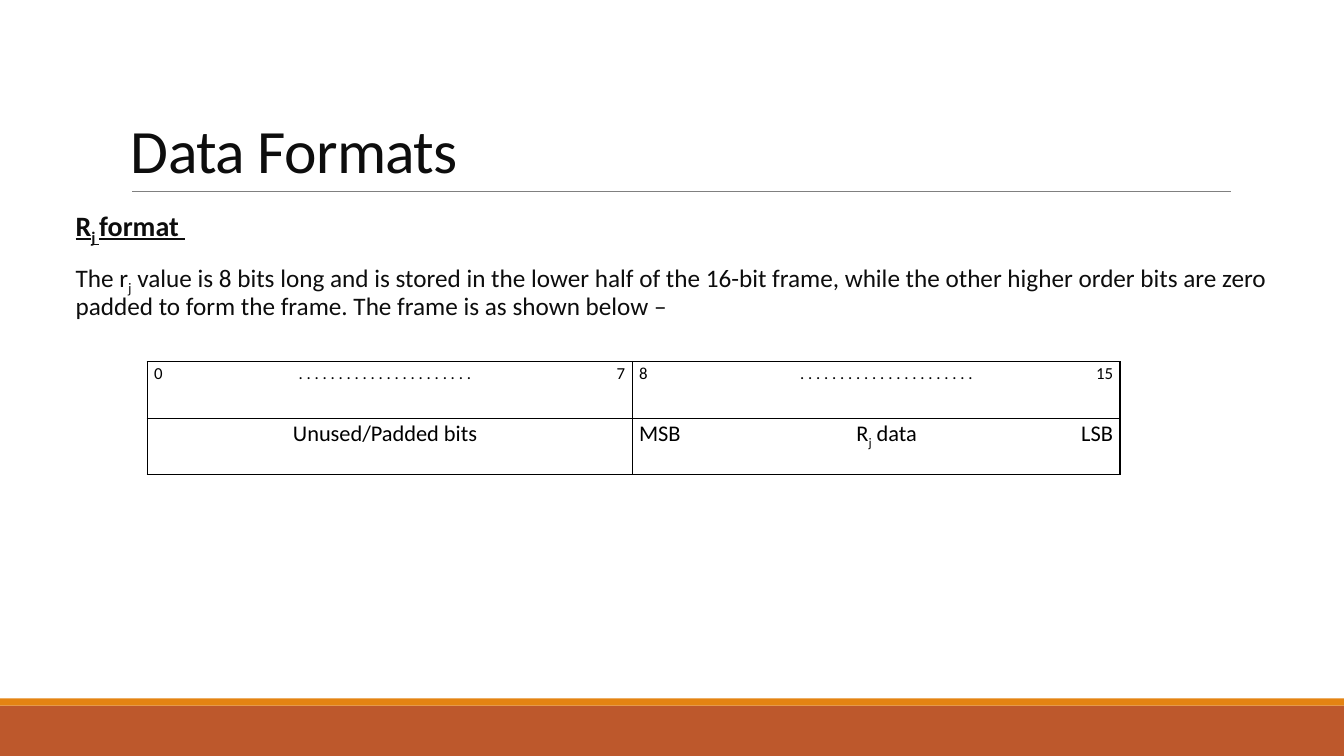
from dataclasses import dataclass

from lxml.etree import SubElement
from pptx import Presentation
from pptx.dml.color import RGBColor
from pptx.enum.shapes import MSO_CONNECTOR, MSO_SHAPE
from pptx.enum.text import MSO_ANCHOR, PP_ALIGN
from pptx.oxml import parse_xml
from pptx.oxml.ns import nsdecls, qn
from pptx.util import Inches, Pt


@dataclass(frozen=True)
class Theme:
    font: str = "Calibri"
    ink: str = "0D0D0D"
    black: str = "000000"
    rule: str = "808080"
    band: str = "BD582C"
    stripe: str = "E48312"
    title: int = 44
    heading: int = 20
    body: int = 18
    label: int = 16
    index: int = 12


THEME = Theme()
WIDTH, HEIGHT = 13.33, 7.5
DOTS = " ".join("." * 22)
BIT_ROWS = [
    (THEME.index, ["0", DOTS, "7", "8", DOTS, "15"]),
    (THEME.label, ["", "Unused/Padded bits", "", "MSB", "R_j_ data", "LSB"]),
]
BIT_COLUMNS = [0.92, 2.88, 1.01, 1.13, 2.79, 0.92]
HALF = 3
ALIGNMENTS = [PP_ALIGN.JUSTIFY, PP_ALIGN.CENTER, PP_ALIGN.RIGHT]


def apply(target, **values):
    for name, value in values.items():
        setattr(target, name, value)


def add_spans(para, text, size, color, **style):
    for number, part in enumerate(text.split("_")):
        span = para.add_run()
        span.text = part
        apply(span.font, name=THEME.font, size=Pt(size), **style)
        span.font.color.rgb = RGBColor.from_string(color)
        if number % 2:
            span.font._element.set("baseline", "-25000")


def add_frame(page, box, **layout):
    frame = page.shapes.add_textbox(*map(Inches, box)).text_frame
    apply(frame, word_wrap=True, **layout)
    return frame


def draw_footer(page, box):
    left, top, width, height = box
    stripe = 0.07
    bands = [(top + stripe, height - stripe, THEME.band), (top, stripe, THEME.stripe)]
    for band_top, band_height, color in bands:
        band = page.shapes.add_shape(
            MSO_SHAPE.RECTANGLE, *map(Inches, (left, band_top, width, band_height)))
        band.shadow.inherit = False
        band.fill.solid()
        band.fill.fore_color.rgb = RGBColor.from_string(color)
        band.line.fill.background()


def draw_title(page, box, text):
    left, top, width, height = box
    bottom = top + height
    ends = (left + 0.11, bottom, left + width + 0.01, bottom)
    rule = page.shapes.add_connector(MSO_CONNECTOR.STRAIGHT, *map(Inches, ends))
    rule.line.color.rgb = RGBColor.from_string(THEME.rule)
    rule.line.width = Pt(0.5)
    SubElement(rule._element.spPr, qn("a:effectLst"))
    para = add_frame(page, box, vertical_anchor=MSO_ANCHOR.BOTTOM).paragraphs[0]
    para.line_spacing = 0.85
    add_spans(para, text, THEME.title, THEME.ink)
    para.runs[0].font._element.set("spc", "-50")


def draw_body(page, box, heading, text):
    frame = add_frame(page, box, margin_left=0, margin_right=0)
    entries = [
        (frame.paragraphs[0], heading, THEME.heading, {"bold": True, "underline": True}),
        (frame.add_paragraph(), text, THEME.body, {}),
    ]
    for para, words, size, style in entries:
        apply(para, line_spacing=0.9, space_before=Pt(12), space_after=Pt(2))
        para._p.get_or_add_pPr().set("marL", str(Inches(0.1)))
        add_spans(para, words, size, THEME.ink, **style)


def set_borders(cell, visible):
    properties = cell._tc.get_or_add_tcPr()
    for position, side in enumerate("LRTB"):
        paint = "<a:noFill/>"
        if side in visible:
            paint = f'<a:solidFill><a:srgbClr val="{THEME.black}"/></a:solidFill>'
        line = f'<a:ln{side} {nsdecls("a")} w="{Pt(1)}">{paint}</a:ln{side}>'
        properties.insert(position, parse_xml(line))


def draw_bit_table(page, box):
    table = page.shapes.add_table(
        len(BIT_ROWS), len(BIT_COLUMNS), *map(Inches, box)).table
    apply(table, first_row=False, horz_banding=False)
    for column, width in zip(table.columns, BIT_COLUMNS):
        column.width = Inches(width)
    for row, (size, texts) in enumerate(BIT_ROWS):
        for column, text in enumerate(texts):
            place = column % HALF
            cell = table.cell(row, column)
            cell.fill.background()
            apply(cell, margin_left=Inches(0.07), margin_right=Inches(0.07),
                  margin_top=0, margin_bottom=0)
            left = "L" if place == 0 else ""
            right = "R" if place == HALF - 1 else ""
            set_borders(cell, "TB" + left + right)
            para = cell.text_frame.paragraphs[0]
            apply(para, alignment=ALIGNMENTS[place], line_spacing=1.07)
            if text:
                add_spans(para, text, size, THEME.black)


def main():
    deck = Presentation()
    apply(deck, slide_width=Inches(WIDTH), slide_height=Inches(HEIGHT))
    page = deck.slides.add_slide(deck.slide_layouts[6])
    draw_footer(page, (0, HEIGHT - 0.57, WIDTH, 0.57))
    draw_title(page, (1.2, 0.31, 11, 1.59), "Data Formats")
    draw_body(
        page, (0.65, 2.02, 11.97, 4.45), "R_j _format ",
        "The r_j_ value is 8 bits long and is stored in the lower half of the "
        "16-bit frame, while the other higher order bits are zero padded to form "
        "the frame. The frame is as shown below –")
    draw_bit_table(page, (1.46, 3.59, sum(BIT_COLUMNS), 1.12))
    deck.save("out.pptx")


if __name__ == "__main__":
    main()
